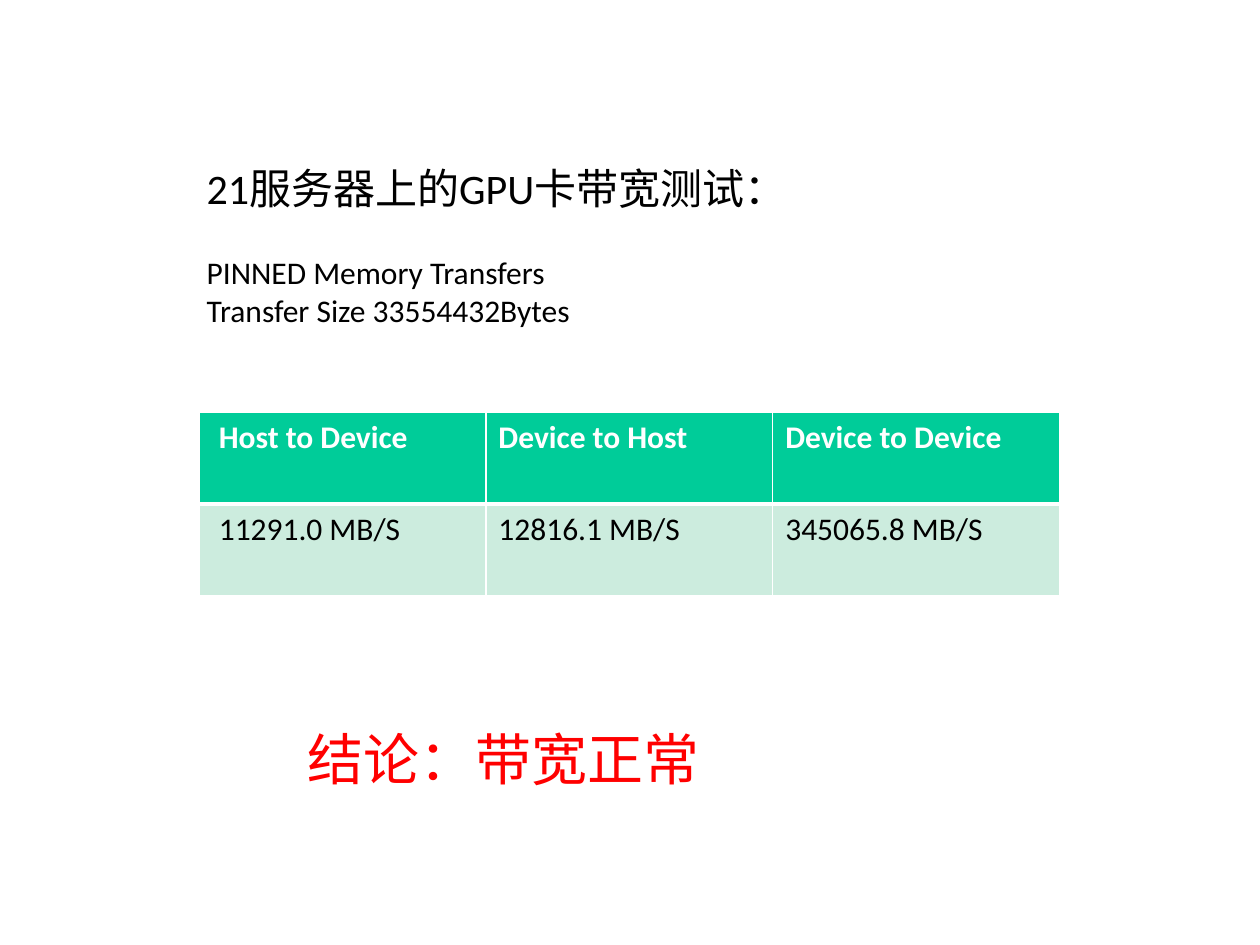
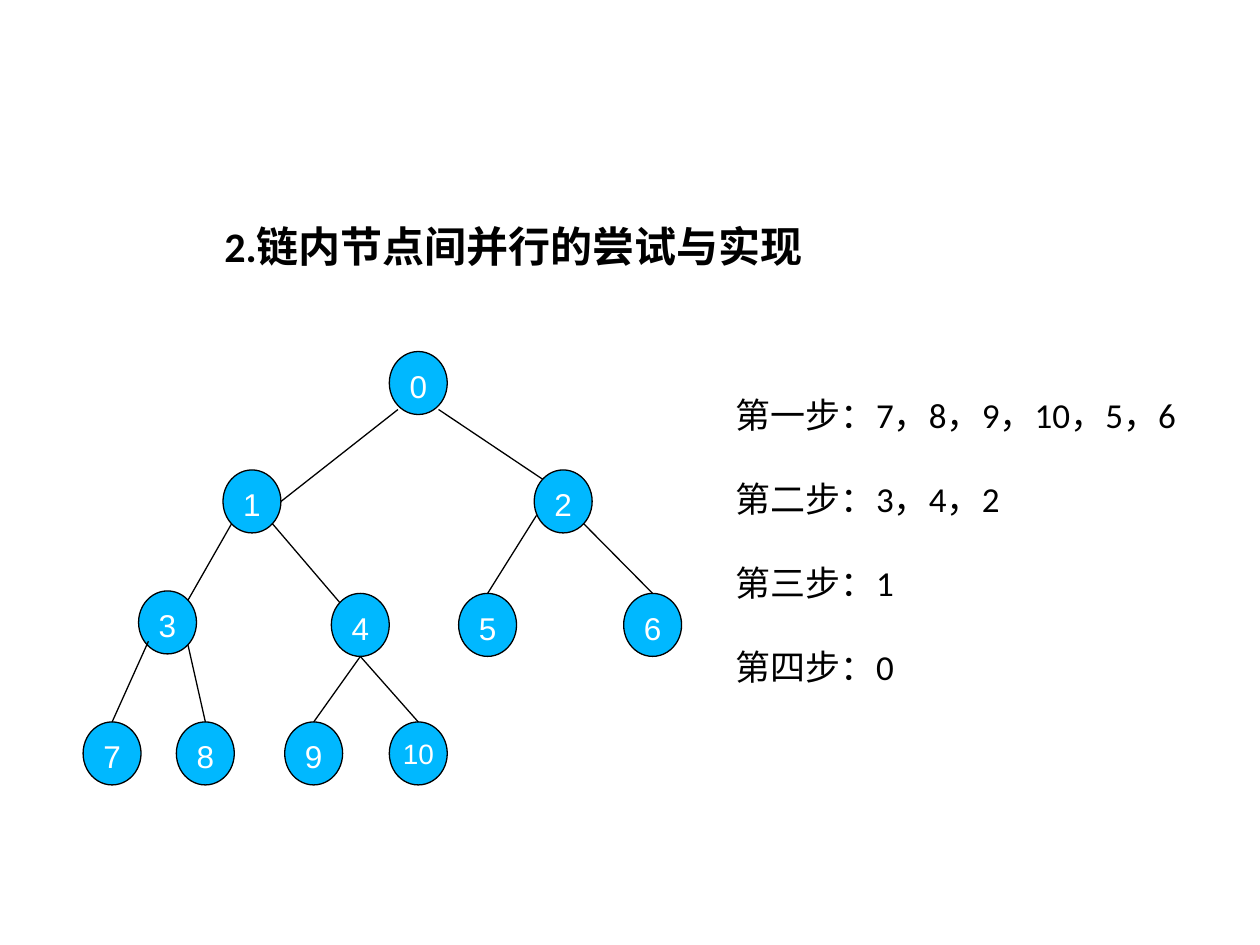
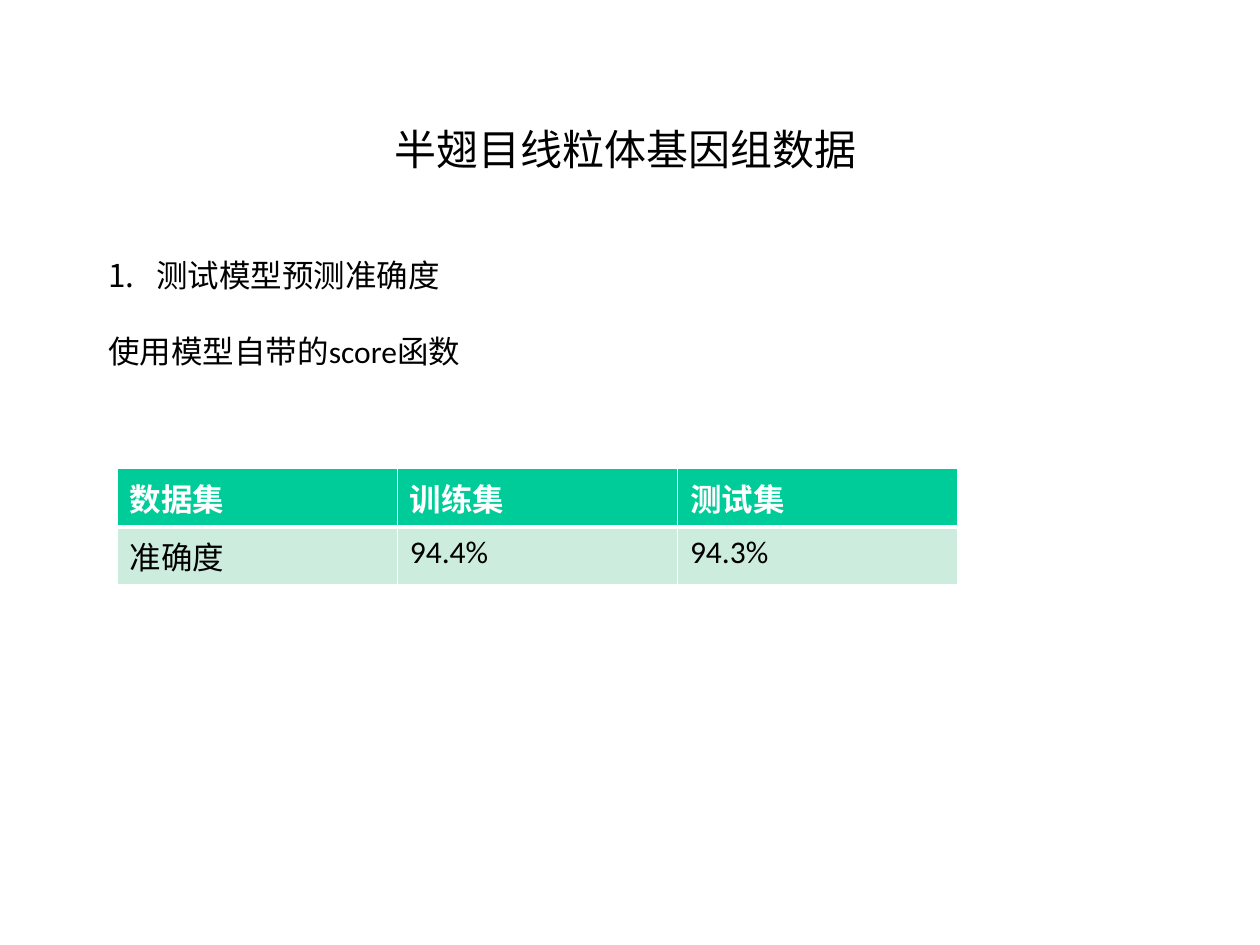
from dataclasses import dataclass
from lxml.etree import SubElement
from pptx import Presentation
from pptx.dml.color import RGBColor as Color
from pptx.enum.shapes import MSO_CONNECTOR as Connector, MSO_SHAPE as Preset
from pptx.enum.text import MSO_ANCHOR as Anchor, MSO_AUTO_SIZE as AutoSize, PP_ALIGN as Align
from pptx.oxml.ns import qn
from pptx.util import Inches, Pt


@dataclass(frozen=True)
class Theme:
    font: str = "Calibri"
    node_font: str = "Arial"
    text: Color = Color(0, 0, 0)
    light: Color = Color(255, 255, 255)
    alert: Color = Color(255, 0, 0)
    node: Color = Color(0x00, 0xB8, 0xFF)
    header: Color = Color(0x00, 0xCC, 0x99)
    body_row: Color = Color(0xCC, 0xEC, 0xDE)
    title_size: int = 24
    step_size: int = 20
    body_size: int = 18
    small_size: int = 16
    conclusion_size: int = 32
    hairline: float = 0.75


@dataclass(frozen=True)
class Box:
    left: float
    top: float
    width: float
    height: float

    def at(self, column, row):
        return grid(self.left + column), grid(self.top + row)

    def lengths(self):
        return [grid(cells) for cells in (self.left, self.top, self.width, self.height)]


THEME = Theme()
SLIDE_WIDTH, SLIDE_HEIGHT = Inches(10), Inches(7.5)
GRID_COLUMNS = 100
NODE_WIDTH, NODE_HEIGHT = 4.6, 5

NODES = {
    "0": (24.3, 0),
    "1": (11.1, 9.4), "2": (35.8, 9.4),
    "3": (4.4, 19), "4": (19.7, 19.2), "5": (29.8, 19.2), "6": (42.9, 19.2),
    "7": (0, 29.4), "8": (7.4, 29.4), "9": (16, 29.4), "10": (24.3, 29.4),
}
TOP, BOTTOM, RIGHT = (0.5, 0), (0.5, 1), (1, 0.5)
UPPER_LEFT, UPPER_RIGHT = (0.15, 0.15), (0.85, 0.15)
LOWER_LEFT, LOWER_RIGHT = (0.15, 0.85), (0.85, 0.85)
EDGES = [
    ("0", (0.15, 0.92), "1", RIGHT), ("0", (0.85, 0.92), "2", UPPER_LEFT),
    ("1", LOWER_LEFT, "3", UPPER_RIGHT), ("1", LOWER_RIGHT, "4", UPPER_LEFT),
    ("2", (0.04, 0.72), "5", TOP), ("2", LOWER_RIGHT, "6", TOP),
    ("3", (0.17, 0.8), "7", TOP), ("3", LOWER_RIGHT, "8", TOP),
    ("4", BOTTOM, "9", TOP), ("4", BOTTOM, "10", TOP),
]


def grid(cells):
    return round(SLIDE_WIDTH * cells / GRID_COLUMNS)


def set_font(paragraph, size, color=THEME.text, bold=False, name=THEME.font):
    font = paragraph.font
    font.name, font.size, font.bold = name, Pt(size), bold
    font.color.rgb = color


def fill_placeholder(shape, box, lines, size, gap=0, bold=False, numbered=()):
    shape.left, shape.top, shape.width, shape.height = box.lengths()
    frame = shape.text_frame
    frame.text = "\n".join(lines)
    frame.word_wrap = True
    frame.auto_size = AutoSize.NONE
    frame.vertical_anchor = Anchor.TOP
    for index, paragraph in enumerate(frame.paragraphs):
        properties = paragraph._p.get_or_add_pPr()
        indent = grid(3.8) if index in numbered else 0
        properties.set("marL", str(indent))
        properties.set("indent", str(-indent))
        if index in numbered:
            SubElement(properties, qn("a:buAutoNum"), type="arabicPeriod")
        else:
            SubElement(properties, qn("a:buNone"))
        paragraph.alignment = Align.LEFT
        paragraph.space_before = Pt(gap if index else 0)
        set_font(paragraph, size, bold=bold)


def add_titled_slide(presentation, title, title_box, lines, body_box, size,
                     gap=0, bold=False, numbered=()):
    slide = presentation.slides.add_slide(presentation.slide_layouts[1])
    fill_placeholder(slide.shapes.title, title_box, [title], THEME.title_size, bold=bold)
    fill_placeholder(slide.placeholders[1], body_box, lines, size, gap, numbered=numbered)
    return slide


def set_border(cell, side, width):
    line = SubElement(cell._tc.get_or_add_tcPr(), qn(f"a:ln{side}"), w=str(Pt(width)))
    fill = SubElement(line, qn("a:solidFill"))
    SubElement(fill, qn("a:srgbClr"), val=str(THEME.light))


def add_result_table(slide, box, rows, first_margin=1):
    frame = slide.shapes.add_table(len(rows), len(rows[0]), *box.lengths())
    table = frame.table
    table.horz_banding = False
    for row_index, row in enumerate(rows):
        is_header = row_index == 0
        thick_side = "B" if is_header else "T"
        for column_index, text in enumerate(row):
            cell = table.cell(row_index, column_index)
            for side in "LRTB":
                set_border(cell, side, 3 if side == thick_side else 1)
            cell.fill.solid()
            cell.fill.fore_color.rgb = THEME.header if is_header else THEME.body_row
            cell.margin_left = grid(1 if column_index else first_margin)
            cell.text = text
            set_font(cell.text_frame.paragraphs[0], THEME.body_size,
                     THEME.light if is_header else THEME.text, is_header)


def add_conclusion(slide, box, text):
    frame = slide.shapes.add_textbox(*box.lengths()).text_frame
    frame.word_wrap = False
    frame.text = text
    set_font(frame.paragraphs[0], THEME.conclusion_size, THEME.alert)


def add_node(shapes, box, label):
    column, row = NODES[label]
    shape = shapes.add_shape(Preset.FLOWCHART_CONNECTOR, *box.at(column, row),
                             grid(NODE_WIDTH), grid(NODE_HEIGHT))
    shape.shadow.inherit = False
    shape.fill.solid()
    shape.fill.fore_color.rgb = THEME.node
    shape.line.color.rgb = THEME.text
    shape.line.width = Pt(THEME.hairline)
    frame = shape.text_frame
    frame.text = label
    frame.margin_left = frame.margin_right = 0
    frame.vertical_anchor = Anchor.TOP
    is_wide = len(label) > 1
    if is_wide:
        frame.margin_top = frame.margin_bottom = 0
        frame.vertical_anchor = Anchor.MIDDLE
    paragraph = frame.paragraphs[0]
    paragraph.alignment = Align.CENTER
    set_font(paragraph, THEME.small_size if is_wide else THEME.body_size,
             THEME.light, name=THEME.node_font)


def node_point(box, label, share):
    column, row = NODES[label]
    return box.at(column + share[0] * NODE_WIDTH, row + share[1] * NODE_HEIGHT)


def add_tree(slide, box):
    shapes = slide.shapes.add_group_shape().shapes
    for label in NODES:
        add_node(shapes, box, label)
    for parent, start, child, end in EDGES:
        edge = shapes.add_connector(Connector.STRAIGHT, *node_point(box, parent, start),
                                    *node_point(box, child, end))
        edge.line.color.rgb = THEME.text
        edge.line.width = Pt(THEME.hairline)
        SubElement(edge._element.spPr, qn("a:effectLst"))


def build_bandwidth_slide(presentation):
    slide = add_titled_slide(
        presentation, "21服务器上的GPU卡带宽测试：", Box(15.4, 12.4, 69.2, 5),
        ["PINNED Memory Transfers", "Transfer Size 33554432Bytes"],
        Box(15.4, 19.6, 69.2, 10), THEME.body_size)
    add_result_table(slide, Box(15.8, 32.7, 68.3, 14.6), [
        ["Host to Device", "Device to Host", "Device to Device"],
        ["11291.0 MB/S", "12816.1 MB/S", "345065.8 MB/S"],
    ], first_margin=1.57)
    add_conclusion(slide, Box(23.4, 57, 33.4, 6.4), "结论：带宽正常")


def build_tree_slide(presentation):
    slide = add_titled_slide(
        presentation, "2.链内节点间并行的尝试与实现", Box(16.8, 17, 62.9, 13.1),
        ["第一步：7，8，9，10，5，6", "第二步：3，4，2", "第三步：1", "第四步：0"],
        Box(57.4, 30.7, 39.5, 27.6), THEME.step_size, gap=24, bold=True)
    add_tree(slide, Box(6.6, 27.9, 47.5, 34.4))


def build_accuracy_slide(presentation):
    slide = add_titled_slide(
        presentation, "半翅目线粒体基因组数据", Box(30.3, 9.3, 59.7, 5),
        ["测试模型预测准确度", "使用模型自带的score函数"],
        Box(7.6, 19.8, 73.7, 10.1), THEME.body_size, gap=22, numbered=(0,))
    add_result_table(slide, Box(9.3, 37.2, 66.7, 8.1), [
        ["数据集", "训练集", "测试集"],
        ["准确度", "94.4%", "94.3%"],
    ])


def main():
    presentation = Presentation()
    presentation.slide_width, presentation.slide_height = SLIDE_WIDTH, SLIDE_HEIGHT
    build_bandwidth_slide(presentation)
    build_tree_slide(presentation)
    build_accuracy_slide(presentation)
    presentation.save("out.pptx")


if __name__ == "__main__":
    main()
